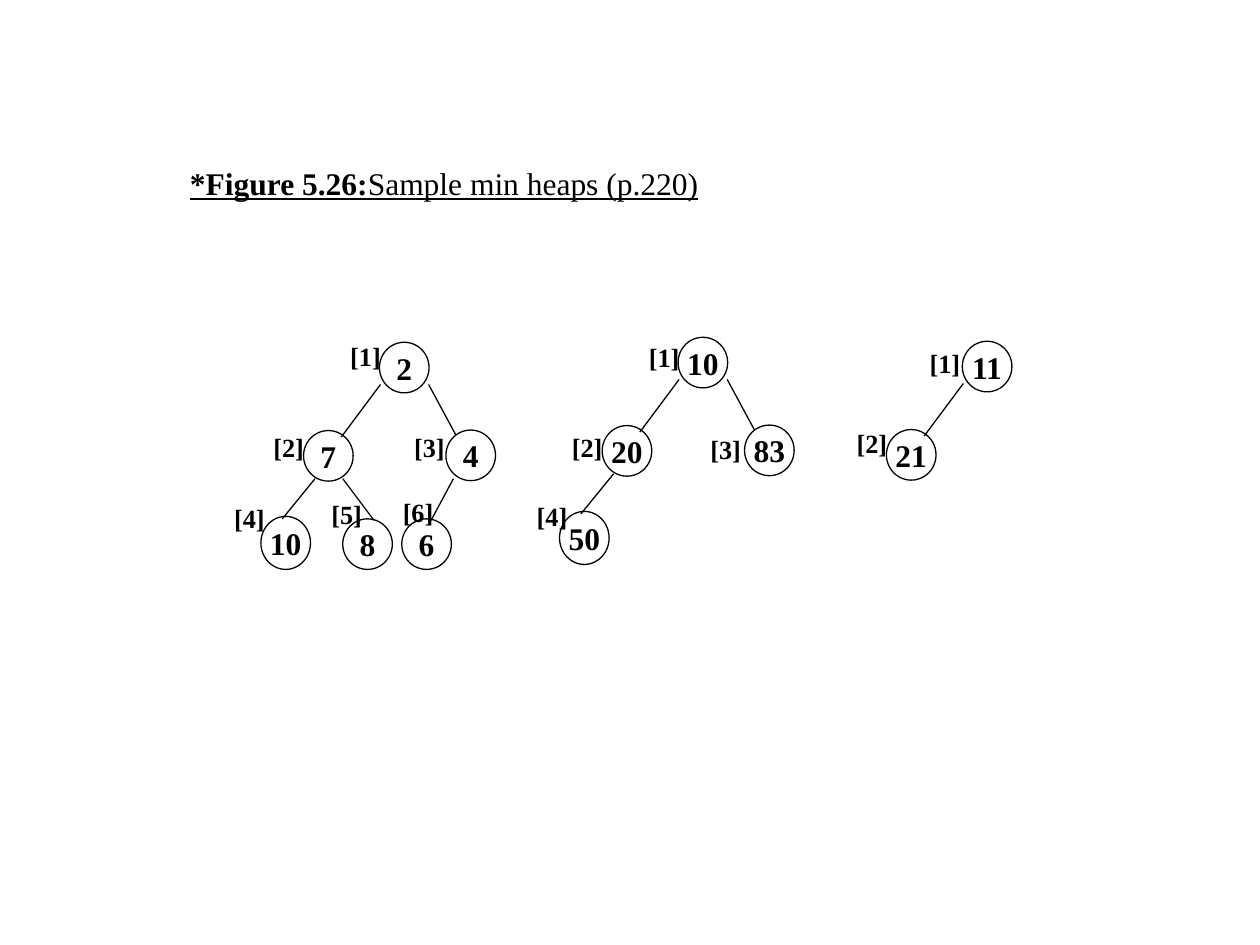
"""Draws the sample min heaps of Figure 5.26 as three groups of nodes, edges and index labels."""
from pptx import Presentation, util as u
from pptx.dml.color import RGBColor
from pptx.enum import shapes, text
from pptx.oxml.ns import qn
from lxml import etree

FONT = "Times New Roman"
INK = "000000"
NODE_WIDTH, NODE_HEIGHT = 1, 1.02

NODE_SLOTS = {
    1: (7.65, 6.9), 2: (6.12, 8.68), 3: (8.99, 8.67),
    4: (5.26, 10.41), 5: (6.91, 10.46), 6: (8.1, 10.46),
}
EDGE_SLOTS = {
    2: (7.67, 7.75, 6.88, 8.81), 3: (8.64, 7.75, 9.19, 8.77),
    4: (6.35, 9.65, 5.69, 10.46), 5: (6.91, 9.65, 7.54, 10.49),
    6: (9.14, 9.65, 8.69, 10.49),
}
HEAPS = [
    ((0, 0), [2, 7, 4, 10, 8, 6],
     [(6.81, 6.73), (5.26, 8.56), (8.1, 8.56), (4.47, 10.01), (6.43, 9.93), (7.87, 9.88)]),
    ((6.02, -0.1), [10, 20, 83, 50],
     [(12.83, 6.76), (11.28, 8.56), (14.07, 8.61), (10.57, 9.96)]),
    ((11.75, -0.02), [11, 21],
     [(18.49, 6.88), (17.02, 8.48)]),
]


def color(value):
    """Return the colour for a hex string."""
    return RGBColor.from_string(value)


def style_run(r, size, bold=True, underline=None):
    """Apply the slide's font to a run."""
    r.font.name = FONT
    r.font.size = u.Pt(size)
    r.font.bold = bold
    r.font.underline = underline
    r.font.color.rgb = color(INK)


def style_line(line):
    """Apply the thin outline shared by nodes and edges."""
    line.color.rgb = color(INK)
    line.width = u.Pt(0.75)


def add_node(parent, x, y, height, value):
    """Add a circled heap value."""
    sp = parent.shapes.add_shape(shapes.MSO_SHAPE.OVAL, u.Cm(x), u.Cm(y),
                                 u.Cm(NODE_WIDTH), u.Cm(height))
    sp.shadow.inherit = False
    sp.fill.background()
    style_line(sp.line)
    tf = sp.text_frame
    tf.word_wrap = False
    tf.vertical_anchor = text.MSO_ANCHOR.MIDDLE
    tf.text = str(value)
    p = tf.paragraphs[0]
    p.alignment = text.PP_ALIGN.CENTER
    style_run(p.runs[0], 18)


def add_edge(parent, x1, y1, x2, y2):
    """Add a plain line from a parent node to its child."""
    line = parent.shapes.add_connector(shapes.MSO_CONNECTOR.STRAIGHT,
                                       u.Cm(x1), u.Cm(y1), u.Cm(x2), u.Cm(y2))
    style_line(line.line)
    etree.SubElement(line._element.spPr, qn("a:effectLst"))


def add_text_box(parent, x, y, width, height):
    """Add an unwrapped text box and return its text frame."""
    tf = parent.shapes.add_textbox(u.Cm(x), u.Cm(y), u.Cm(width), u.Cm(height)).text_frame
    tf.word_wrap = False
    tf.auto_size = text.MSO_AUTO_SIZE.SHAPE_TO_FIT_TEXT
    return tf


def add_label(parent, x, y, index):
    """Add the bracketed array index of a node."""
    tf = add_text_box(parent, x, y, 1.12, 0.89)
    tf.text = f"[{index}]"
    style_run(tf.paragraphs[0].runs[0], 15)


def add_heap(s, offset, values, labels):
    """Add one heap as a group, placing nodes and edges by array index."""
    dx, dy = offset
    group = s.shapes.add_group_shape()
    for index, value in enumerate(values, 1):
        x, y = NODE_SLOTS[index]
        height = 1.07 if index == 4 else NODE_HEIGHT
        add_node(group, x + dx, y + dy, height, value)
    for index in range(2, len(values) + 1):
        x1, y1, x2, y2 = EDGE_SLOTS[index]
        add_edge(group, x1 + dx, y1 + dy, x2 + dx, y2 + dy)
    for index, (x, y) in enumerate(labels, 1):
        add_label(group, x, y, index)


def add_caption(s):
    """Add the underlined figure caption."""
    p = add_text_box(s, 3.58, 3.18, 10.77, 1.02).paragraphs[0]
    for words, bold in (("*Figure 5.26:", True), ("Sample min heaps (p.220)", False)):
        r = p.add_run()
        r.text = words
        style_run(r, 18, bold, True)


def main():
    """Build and save the slide."""
    prs = Presentation()
    prs.slide_width, prs.slide_height = u.Cm(25.4), u.Cm(19.05)
    s = prs.slides.add_slide(prs.slide_layouts[6])
    for offset, values, labels in HEAPS:
        add_heap(s, offset, values, labels)
    add_caption(s)
    prs.save("out.pptx")


if __name__ == "__main__":
    main()
